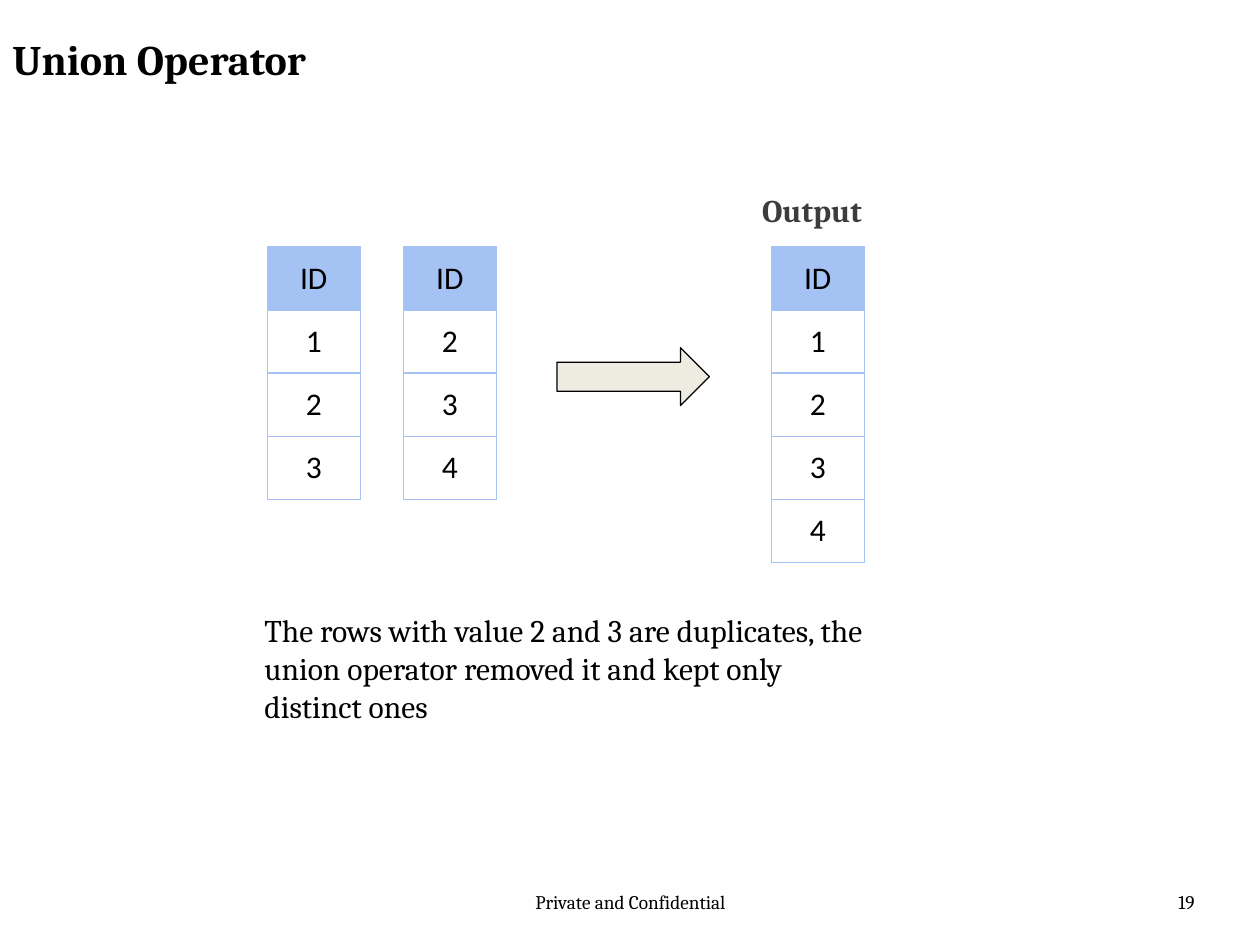
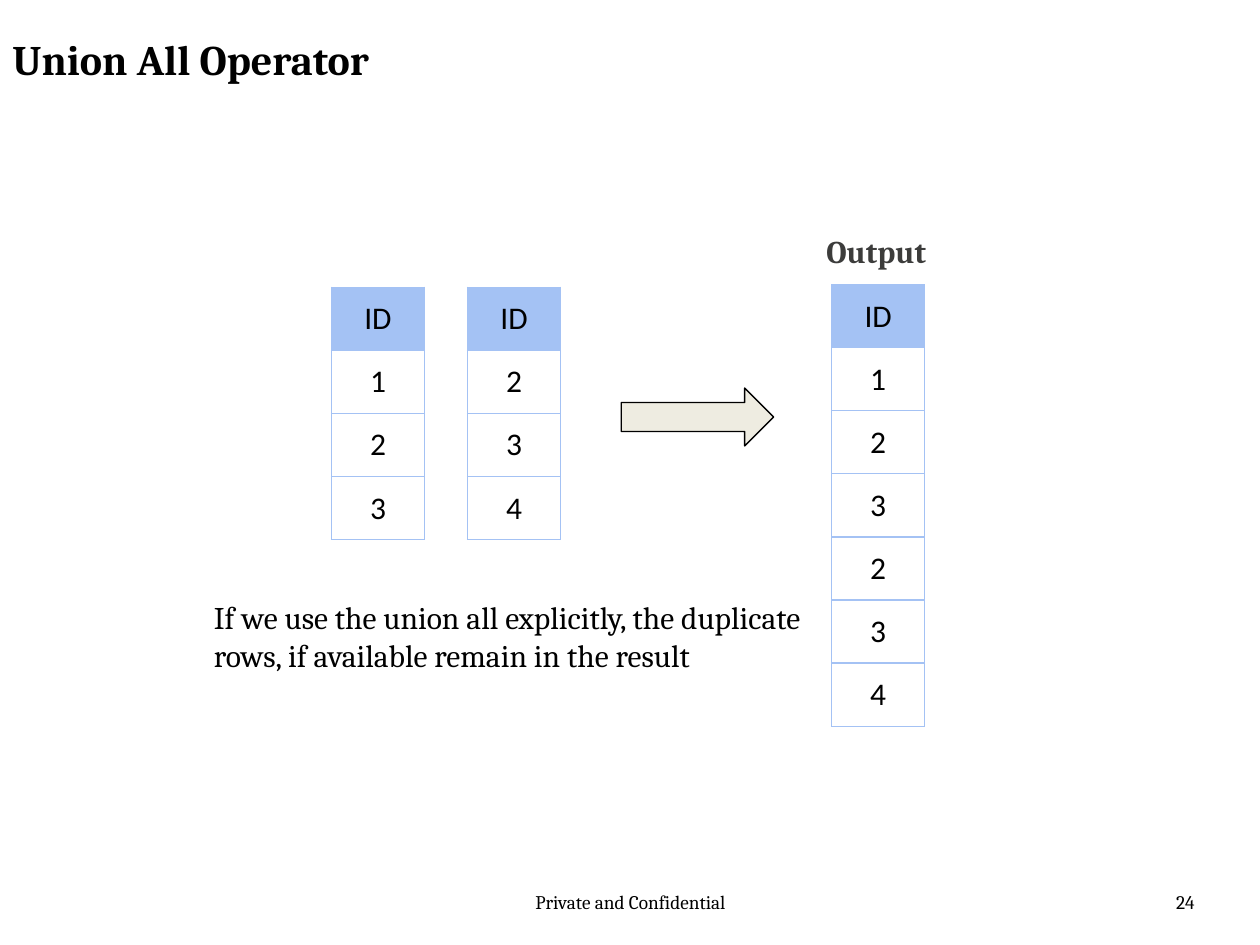
"""Build two slides that compare the union and union all operators."""
from dataclasses import dataclass

from lxml import etree
from pptx import Presentation
from pptx.dml.color import RGBColor
from pptx.enum.shapes import MSO_SHAPE
from pptx.enum.text import MSO_ANCHOR, PP_ALIGN
from pptx.oxml.ns import qn
from pptx.util import Inches, Pt

LEFT, CENTER, RIGHT = PP_ALIGN.LEFT, PP_ALIGN.CENTER, PP_ALIGN.RIGHT
MIDDLE = MSO_ANCHOR.MIDDLE
RIGHT_ARROW = MSO_SHAPE.RIGHT_ARROW
BLANK_LAYOUT = 6


@dataclass(frozen=True)
class Theme:
    """Fonts, type sizes and colours of the slides."""
    text_font: str = "Cambria"
    table_font: str = "Calibri"
    title_size: int = 24
    body_size: int = 18
    footer_size: int = 11
    line_width: float = 0.75
    ink: str = "000000"
    label: str = "3C3C3B"
    table: str = "A4C2F4"
    arrow: str = "EEECE1"


THEME = Theme()
FIRST_TABLE = ("ID", "1", "2", "3")
SECOND_TABLE = ("ID", "2", "3", "4")
COLUMN_WIDTH = 0.74
ROW_HEIGHT = 0.5
TABLE_PITCH = 1.08


def color(value):
    """Turn a hex string into a colour."""
    return RGBColor.from_string(value)


def style_paragraph(paragraph, font, size, ink=THEME.ink, bold=False, align=LEFT):
    """Set the font and alignment of a whole paragraph."""
    paragraph.alignment = align
    paragraph.font.name = font
    paragraph.font.size = Pt(size)
    paragraph.font.bold = bold
    paragraph.font.color.rgb = color(ink)


def add_text(slide, text, box, size, vertical_margin=0.05, **style):
    """Add a wrapping text box with one paragraph."""
    shape = slide.shapes.add_textbox(*map(Inches, box))
    frame = shape.text_frame
    frame.word_wrap = True
    frame.margin_top = frame.margin_bottom = Inches(vertical_margin)
    frame.text = text
    style_paragraph(frame.paragraphs[0], THEME.text_font, size, **style)


def add_borders(cell):
    """Draw a thin line on every side of a table cell."""
    properties = cell._tc.get_or_add_tcPr()
    for side in ("a:lnL", "a:lnR", "a:lnT", "a:lnB"):
        line = etree.SubElement(properties, qn(side), w=str(Pt(THEME.line_width)))
        fill = etree.SubElement(line, qn("a:solidFill"))
        etree.SubElement(fill, qn("a:srgbClr"), val=THEME.table)


def add_id_table(slide, values, left, top):
    """Add a one-column table whose first value is the header."""
    box = (left, top, COLUMN_WIDTH, ROW_HEIGHT * len(values))
    table = slide.shapes.add_table(len(values), 1, *map(Inches, box)).table
    table.first_row = table.horz_banding = False
    for row, value in enumerate(values):
        cell = table.cell(row, 0)
        cell.text = value
        cell.vertical_anchor = MIDDLE
        cell.margin_left = cell.margin_right = Inches(0.1)
        cell.margin_top = cell.margin_bottom = Inches(0.1)
        style_paragraph(cell.text_frame.paragraphs[0], THEME.table_font,
                        THEME.body_size, align=CENTER)
        add_borders(cell)
        if row == 0:
            cell.fill.solid()
            cell.fill.fore_color.rgb = color(THEME.table)
        else:
            cell.fill.background()


def add_arrow(slide, left, top):
    """Add the block arrow that leads to the output."""
    shape = slide.shapes.add_shape(RIGHT_ARROW, *map(Inches, (left, top, 1.21, 0.46)))
    shape.shadow.inherit = False
    shape.fill.solid()
    shape.fill.fore_color.rgb = color(THEME.arrow)
    shape.line.color.rgb = color(THEME.ink)
    shape.line.width = Pt(THEME.line_width)


def add_diagram(slide, left, top, output, output_left, output_top):
    """Add two input tables, an arrow and the labelled output table."""
    for index, values in enumerate((FIRST_TABLE, SECOND_TABLE)):
        add_id_table(slide, values, left + index * TABLE_PITCH, top)
    add_arrow(slide, left + 2.3, top + 0.8)
    add_text(slide, "Output", (left + 3.83, top - 0.54, 1.93, 0.46), THEME.body_size,
             vertical_margin=0.1, ink=THEME.label, bold=True)
    add_id_table(slide, output, output_left, output_top)


def add_operator_slide(presentation, title, number):
    """Add a slide with its title and footer."""
    slide = presentation.slides.add_slide(presentation.slide_layouts[BLANK_LAYOUT])
    add_text(slide, "Private and Confidential", (3.42, 7.02, 3.17, 0.4),
             THEME.footer_size, align=CENTER)
    add_text(slide, str(number), (7.25, 7.02, 2.33, 0.4), THEME.footer_size, align=RIGHT)
    add_text(slide, title, (0, 0.22, 7.59, 0.62), THEME.title_size, bold=True)
    return slide


def main():
    """Build and save the presentation."""
    presentation = Presentation()
    presentation.slide_width = Inches(10)
    presentation.slide_height = Inches(7.5)

    union = add_operator_slide(presentation, "Union Operator", 19)
    add_diagram(union, 2.12, 1.96, ("ID", "1", "2", "3", "4"), 6.12, 1.96)
    add_text(union, "The rows with value 2 and 3 are duplicates, the union operator "
             "removed it and kept only distinct ones", (2, 4.8, 5.08, 1.01), THEME.body_size)

    union_all = add_operator_slide(presentation, "Union All Operator", 24)
    add_diagram(union_all, 2.63, 2.28, FIRST_TABLE + SECOND_TABLE[1:], 6.6, 2.26)
    add_text(union_all, "If we use the union all explicitly, the duplicate rows, "
             "if available remain in the result", (1.6, 4.7, 5, 1.01), THEME.body_size)

    presentation.save("out.pptx")


if __name__ == "__main__":
    main()
